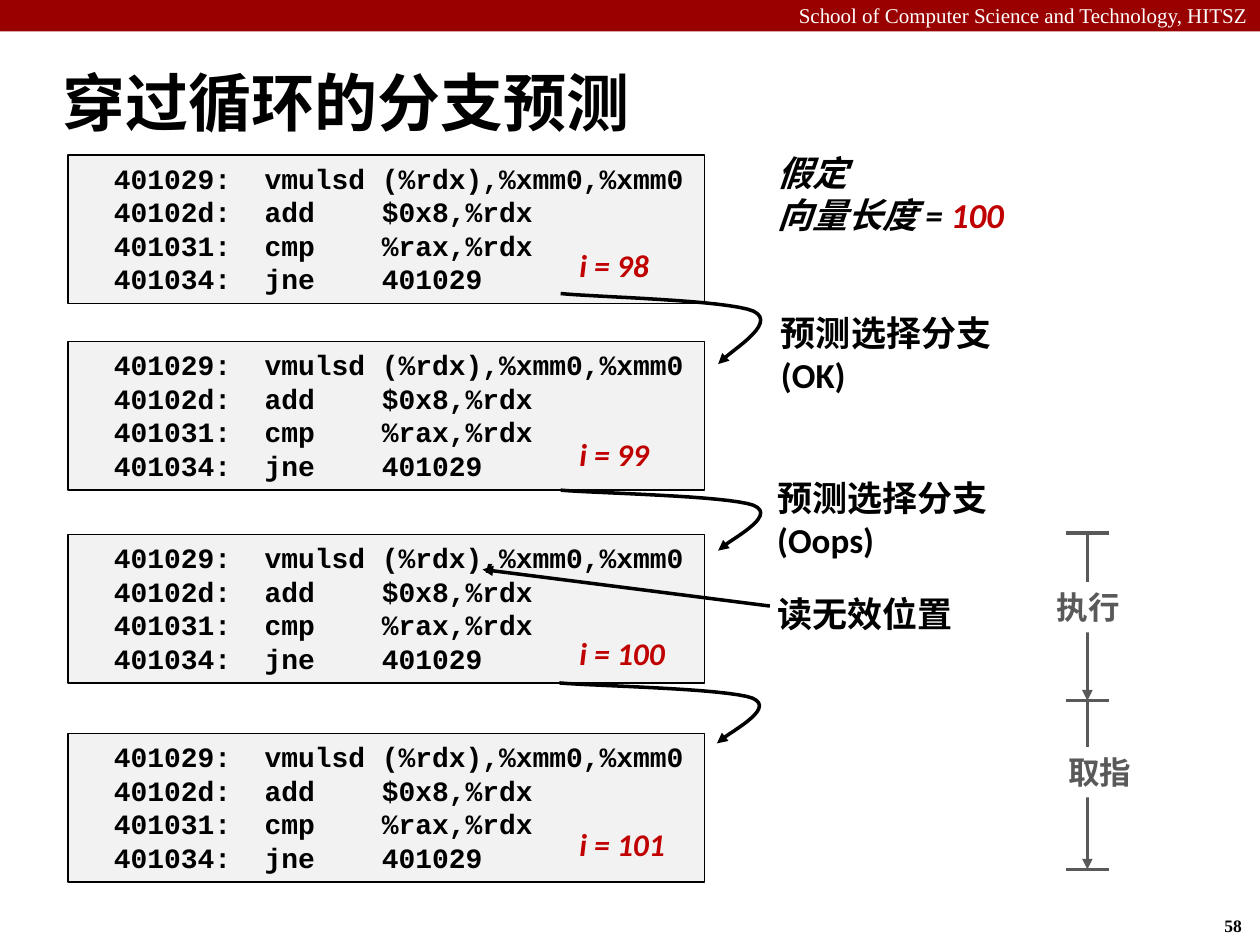
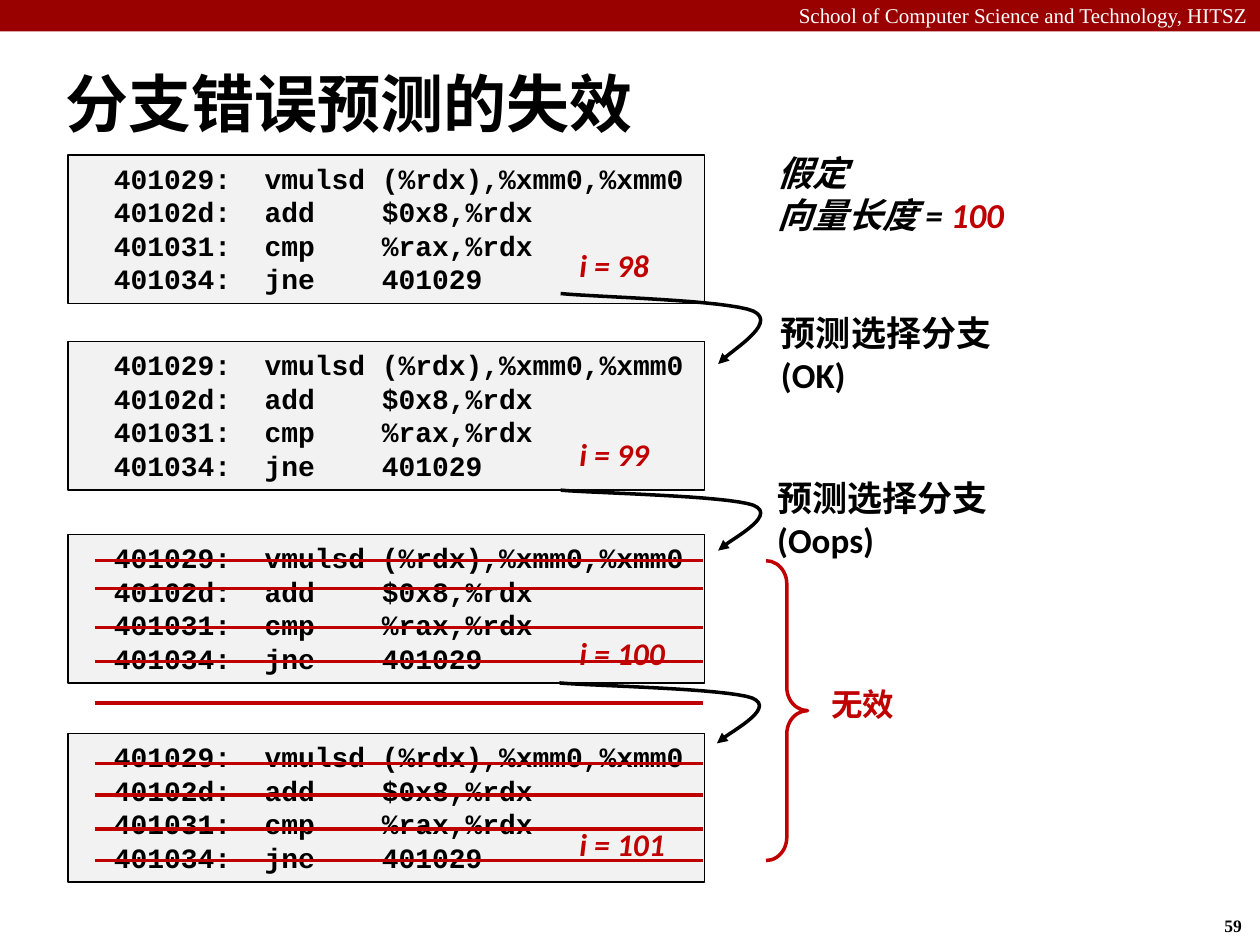
from lxml import etree
from pptx import Presentation
from pptx.dml.color import RGBColor
from pptx.enum.shapes import MSO_CONNECTOR, MSO_SHAPE
from pptx.enum.text import MSO_ANCHOR, MSO_AUTO_SIZE, PP_ALIGN
from pptx.oxml.ns import qn
from pptx.util import Inches, Pt

LINE = MSO_CONNECTOR.STRAIGHT
RECT = MSO_SHAPE.RECTANGLE
BRACE = MSO_SHAPE.RIGHT_BRACE
MIDDLE = MSO_ANCHOR.MIDDLE
TOP = MSO_ANCHOR.TOP
LEFT = PP_ALIGN.LEFT
RIGHT = PP_ALIGN.RIGHT
FIT = MSO_AUTO_SIZE.SHAPE_TO_FIT_TEXT
FIXED = MSO_AUTO_SIZE.NONE

BLACK, WHITE, GRAY = "000000", "FFFFFF", "595959"
BAND, RED, PALE = "990000", "C00000", "F2F2F2"

HEAD = dict(name="Calibri", size=Pt(36), bold=True)
NOTE = dict(name="Calibri", size=Pt(20), bold=True)
SLANT = dict(NOTE, italic=True)
TAG = dict(name="Calibri", size=Pt(18), bold=True)
COUNT = dict(TAG, italic=True)
CODE = dict(name="Courier New", size=Pt(16), bold=True)
SCHOOL = dict(name="Times New Roman", size=Pt(12))
PAGE = dict(name="Times New Roman", size=Pt(10), bold=True)

LOOP = [
    "  401029:  vmulsd (%rdx),%xmm0,%xmm0",
    "  40102d:  add    $0x8,%rdx",
    "  401031:  cmp    %rax,%rdx",
    "  401034:  jne    401029",
]
ROUNDS = [(98, 1.23, 1.9), (99, 2.71, 3.4), (100, 4.24, 4.98), (101, 5.82, 6.5)]
JUMPS = [(4.45, 2.33, 0.56), (4.45, 3.89, 0.48), (4.44, 5.42, 0.48)]
BEND = [
    [(0, 0), (0.26, 0.05), (1.32, 0.09), (1.53, 0.25)],
    [(1.53, 0.25), (1.74, 0.43), (1.31, 0.85), (1.25, 1)],
]
STRIKES = [4.45, 4.67, 4.98, 5.25, 5.58, 6.06, 6.31, 6.58, 6.83]
TICKS = [4.23, 5.56, 6.9]


def tint(code):
    return RGBColor.from_string(code)


def bezier(points, t):
    weights = [(1 - t) ** 3, 3 * t * (1 - t) ** 2, 3 * t * t * (1 - t), t ** 3]
    return [sum(w * p[k] for w, p in zip(weights, points)) for k in (0, 1)]


class Deck:
    def __init__(self):
        self.prs = Presentation()
        self.prs.slide_width, self.prs.slide_height = Inches(10), Inches(7.5)
        self.slide = None

    def start(self, title, left, top, page):
        self.slide = self.prs.slides.add_slide(self.prs.slide_layouts[6])
        self.rect(0, 0, 10, 0.25, BAND)
        self.text(0, -0.03, 10, 0.3, "School of Computer Science and Technology, HITSZ",
                  SCHOOL, WHITE, wrap=True, align=RIGHT)
        self.text(9.62, 7.21, 0.37, 0.27, str(page), PAGE)
        self.text(left, top, 8.6, 0.63, title, HEAD, wrap=True, anchor=MIDDLE, fit=FIXED)

    def rect(self, x, y, w, h, fill, edge=None, kind=RECT, width=0.75):
        shape = self.slide.shapes.add_shape(kind, Inches(x), Inches(y), Inches(w), Inches(h))
        shape.shadow.inherit = False
        if fill:
            shape.fill.solid()
            shape.fill.fore_color.rgb = tint(fill)
        else:
            shape.fill.background()
        if edge:
            self.stroke(shape, edge, width)
        else:
            shape.line.fill.background()
        return shape

    def label(self, shape, lines, style, color=BLACK, wrap=False, align=LEFT,
              anchor=TOP, fit=FIT, pitch=None):
        frame = shape.text_frame
        settings = dict(word_wrap=wrap, vertical_anchor=anchor, auto_size=fit)
        for key, value in settings.items():
            setattr(frame, key, value)
        for i, line in enumerate(lines):
            para = frame.add_paragraph() if i else frame.paragraphs[0]
            para.alignment = align
            para.line_spacing = pitch
            parts = [(line, color)] if isinstance(line, str) else line
            for words, shade in parts:
                run = para.add_run()
                run.text = words
                run.font.color.rgb = tint(shade)
                for key, value in style.items():
                    setattr(run.font, key, value)

    def text(self, x, y, w, h, lines, style, color=BLACK, fill=None, **opts):
        box = self.slide.shapes.add_textbox(Inches(x), Inches(y), Inches(w), Inches(h))
        if fill:
            box.fill.solid()
            box.fill.fore_color.rgb = tint(fill)
        self.label(box, [lines] if isinstance(lines, str) else lines, style, color, **opts)

    def stroke(self, shape, color, width=2, arrow=False):
        shape.line.color.rgb = tint(color)
        shape.line.width = Pt(width)
        if arrow:
            edge = shape._element.spPr.find(qn("a:ln"))
            etree.SubElement(edge, qn("a:tailEnd"), type="triangle")

    def link(self, x1, y1, x2, y2, color, arrow=False):
        line = self.slide.shapes.add_connector(LINE, Inches(x1), Inches(y1), Inches(x2), Inches(y2))
        self.stroke(line, color, arrow=arrow)
        etree.SubElement(line._element.spPr, qn("a:effectLst"))

    def curve(self, x, y, height):
        points = [bezier(part, step / 16) for part in BEND for step in range(1, 17)]
        pen = self.slide.shapes.build_freeform(Inches(x), Inches(y))
        pen.add_line_segments([(Inches(x + u), Inches(y + v * height)) for u, v in points],
                              close=False)
        shape = pen.convert_to_shape()
        shape.shadow.inherit = False
        shape.fill.background()
        self.stroke(shape, BLACK, arrow=True)

    def loops(self):
        for count, top, low in ROUNDS:
            box = self.rect(0.54, top, 5.05, 1.18, PALE, BLACK)
            self.label(box, LOOP, CODE, pitch=Pt(19.2))
            self.text(4.5, low, 0.76 if count < 100 else 0.89, 0.4, f"i = {count}", COUNT, RED)
        for jump in JUMPS:
            self.curve(*jump)
        self.text(6.07, 1.15, 2, 0.77, ["假定", [("向量长度 = ", BLACK), ("100", RED)]],
                  SLANT, wrap=True)
        self.text(6.1, 2.42, 2.3, 0.44, "预测选择分支(OK)", NOTE, wrap=True)
        self.text(6.07, 3.73, 2.5, 0.44, "预测选择分支(Oops)", NOTE, wrap=True)


def main():
    deck = Deck()

    deck.start("穿过循环的分支预测", 0.4, 0.49, 58)
    deck.loops()
    deck.text(6.07, 4.65, 1.84, 0.44, "读无效位置", NOTE, wrap=True)
    deck.link(6.11, 4.81, 3.83, 4.52, BLACK, arrow=True)
    for top, end in zip(TICKS, TICKS[1:]):
        deck.link(8.63, top, 8.63, end, GRAY, arrow=True)
    for y in TICKS:
        deck.link(8.46, y, 8.8, y, GRAY)
    for x, y, stage in [(8.29, 4.62, "执行"), (8.38, 5.93, "取指")]:
        deck.text(x, y, 0.71, 0.4, stage, TAG, GRAY, fill=WHITE)

    deck.start("分支错误预测的失效", 0.42, 0.5, 59)
    deck.loops()
    deck.text(6.5, 5.39, 0.71, 0.4, "无效", TAG, RED)
    for y in STRIKES:
        deck.link(0.75, y, 5.58, y, RED)
    brace = deck.rect(6.08, 4.45, 0.33, 2.38, None, RED, BRACE, 2)
    brace.adjustments[0] = 0.56

    deck.prs.save("out.pptx")


if __name__ == "__main__":
    main()
